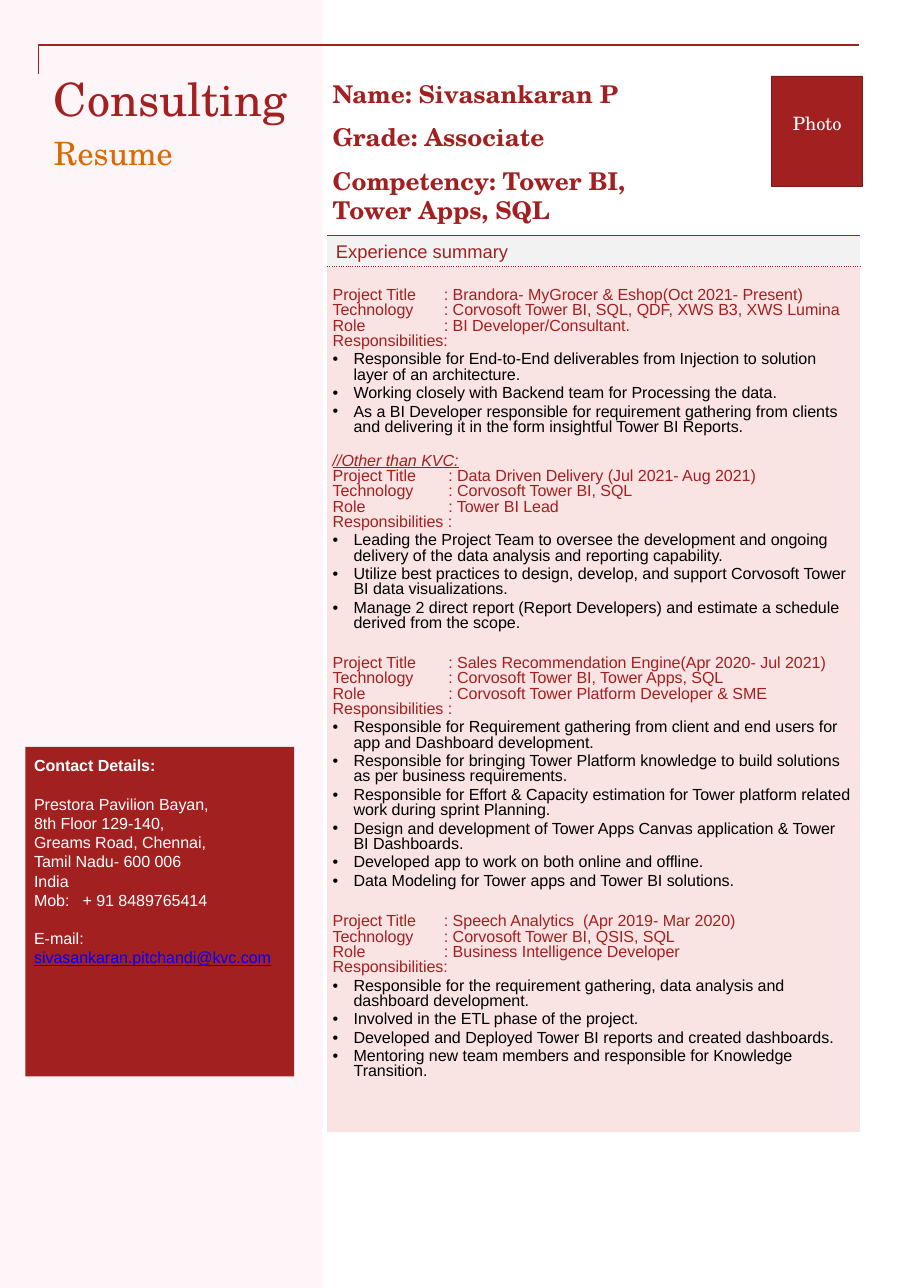
from dataclasses import dataclass
from lxml.etree import SubElement
from pptx import Presentation
from pptx.dml.color import RGBColor
from pptx.enum.shapes import MSO_SHAPE
from pptx.enum.text import MSO_ANCHOR, PP_ALIGN
from pptx.oxml import parse_xml
from pptx.oxml.ns import nsdecls, qn
from pptx.util import Inches, Pt


@dataclass(frozen=True)
class Theme:
    red: str = "A32020"
    dark_red: str = "791818"
    orange: str = "DC6900"
    blush: str = "FDF5F7"
    rose: str = "F9E3E3"
    grey: str = "F2F2F2"
    link: str = "0000FF"
    black: str = "000000"
    white: str = "FFFFFF"
    serif: str = "TeX Gyre Schola"
    sans: str = "Arial"
    title: float = 30
    subtitle: float = 21
    name: float = 16
    label: float = 12
    body: float = 10.5
    contact_line: float = 12.55
    project_line: float = 10
    project_gap: float = 2


@dataclass(frozen=True)
class Project:
    name: str
    technology: str
    role: str
    duties: tuple
    heading: str = "Responsibilities:"
    colon_at: float = 1.01
    note: str = ""


THEME = Theme()
NO_GRID_STYLE = "{2D5ABB26-0587-4C30-8999-92F81FD0307C}"

CURRENT = Project(
    "Brandora- MyGrocer & Eshop(Oct 2021- Present)",
    "Corvosoft Tower BI, SQL, QDF, XWS B3, XWS Lumina",
    "BI Developer/Consultant.",
    ("Responsible for End-to-End deliverables from Injection to solution layer of an architecture.",
     "Working closely with Backend team for Processing the data.",
     "As a BI Developer responsible for requirement gathering from clients and delivering it "
     "in the form insightful Tower BI Reports."))
DELIVERY = Project(
    "Data Driven Delivery (Jul 2021- Aug 2021)", "Corvosoft Tower BI, SQL", "Tower BI Lead",
    ("Leading the Project Team to oversee the development and ongoing delivery of the data "
     "analysis and reporting capability.",
     "Utilize best practices to design, develop, and support Corvosoft Tower BI data visualizations.",
     "Manage 2 direct report (Report Developers) and estimate a schedule derived from the scope."),
    "Responsibilities :", 1.05, "//Other than KVC:")
SALES = Project(
    "Sales Recommendation Engine(Apr 2020- Jul 2021)", "Corvosoft Tower BI, Tower Apps, SQL",
    "Corvosoft Tower Platform Developer & SME",
    ("Responsible for Requirement gathering from client and end users for app and Dashboard development.",
     "Responsible for bringing Tower Platform knowledge to build solutions as per business requirements.",
     "Responsible for Effort & Capacity estimation for Tower platform related work during sprint Planning.",
     "Design and development of Tower Apps Canvas application & Tower BI Dashboards.",
     "Developed app to work on both online and offline.",
     "Data Modeling for Tower apps and Tower BI solutions."),
    "Responsibilities :", 1.05)
SPEECH = Project(
    "Speech Analytics  (Apr 2019- Mar 2020)", "Corvosoft Tower BI, QSIS, SQL",
    "Business Intelligence Developer",
    ("Responsible for the requirement gathering, data analysis and dashboard development.",
     "Involved in the ETL phase of the project.",
     "Developed and Deployed Tower BI reports and created dashboards.",
     "Mentoring new team members and responsible for Knowledge Transition."))

# Top margin and projects of each experience row
EXPERIENCE = ((0.2, (CURRENT, DELIVERY)), (0.03, (SALES,)), (0.2, (SPEECH,)))
EXPERIENCE_HEIGHTS = (0.27, 3.51, 2.17, 2.17)
SIDEBAR_HEIGHTS = (0.24, 1.91, 0.29, 1.32, 0.29, 0.31)


def colour(code):
    return RGBColor.from_string(code)


def add_span(para, text, size, code, font=THEME.sans, bold=False, italic=False, underline=False):
    """Add styled text, with a line break between its lines."""
    for index, line in enumerate(text.split("\n")):
        if index:
            para.add_line_break()
        span = para.add_run()
        span.text = line
        span.font.name, span.font.size = font, Pt(size)
        span.font.bold, span.font.italic, span.font.underline = bold, italic, underline
        span.font.color.rgb = colour(code)


def next_para(frame):
    first = frame.paragraphs[0]
    return first if not first.runs else frame.add_paragraph()


def set_space(para, line=None, before=0, after=0):
    if line:
        para.line_spacing = Pt(line)
    para.space_before, para.space_after = Pt(before), Pt(after)


def set_tab(para, position):
    tabs = SubElement(para._p.get_or_add_pPr(), qn("a:tabLst"))
    SubElement(tabs, qn("a:tab"), pos=str(Inches(position)), algn="l")


def set_margins(target, left, top):
    target.margin_left = target.margin_right = Inches(left)
    target.margin_top = target.margin_bottom = Inches(top)


def prepare_frame(frame, margin=0):
    frame.word_wrap = True
    frame.vertical_anchor = MSO_ANCHOR.TOP
    set_margins(frame, margin, margin)
    return frame


def add_rectangle(page, left, top, width, height, fill, line=None):
    box = page.shapes.add_shape(MSO_SHAPE.RECTANGLE, *map(Inches, (left, top, width, height)))
    box.shadow.inherit = False
    box.fill.solid()
    box.fill.fore_color.rgb = colour(fill)
    if line:
        box.line.color.rgb, box.line.width = colour(line), Pt(0.25)
    else:
        box.line.fill.background()
    return box


def add_serif_box(page, left, top, width, height, lines, size, code, bold=False, align=PP_ALIGN.LEFT):
    box = page.shapes.add_textbox(*map(Inches, (left, top, width, height)))
    frame = prepare_frame(box.text_frame)
    for line in lines:
        para = next_para(frame)
        para.alignment = align
        set_space(para, after=9)
        add_span(para, line, size, code, THEME.serif, bold)


def add_corner_rule(page):
    builder = page.shapes.build_freeform(Inches(0.35), Inches(0.67))
    builder.add_line_segments([(Inches(0.35), Inches(0.41)), (Inches(7.8), Inches(0.41))], close=False)
    rule = builder.convert_to_shape()
    rule.shadow.inherit = False
    rule.fill.background()
    rule.line.color.rgb, rule.line.width = colour(THEME.red), Pt(1)


def place_title(page):
    title = page.shapes.title
    title.left, title.top, title.width, title.height = map(Inches, (0.49, 0.64, 7.62, 1.29))
    para = prepare_frame(title.text_frame).paragraphs[0]
    para.alignment = PP_ALIGN.LEFT
    add_span(para, "Consulting", THEME.title, THEME.red, THEME.serif)
    page.shapes._spTree.append(title._element)


def add_contact(page):
    frame = prepare_frame(add_rectangle(page, 0.23, 6.78, 2.44, 2.99, THEME.red).text_frame, 0.08)
    address = ("Prestora Pavilion Bayan,\n8th Floor 129-140,\nGreams Road, Chennai,\n"
               "Tamil Nadu- 600 006\nIndia")
    gap = THEME.contact_line
    for text, before in (("Contact Details:", 0), (address, gap),
                         ("Mob:\t+ 91 8489765414", 0), ("E-mail: ", gap)):
        para = next_para(frame)
        para.alignment = PP_ALIGN.LEFT
        set_space(para, THEME.contact_line, before)
        add_span(para, text, THEME.body, THEME.white, bold=text.startswith("Contact"))
        if "\t" in text:
            set_tab(para, 0.44)
    add_span(para, "sivasankaran.pitchandi@kvc.com", THEME.body, THEME.link, underline=True)


def add_project(frame, project):
    para = next_para(frame)
    set_space(para, THEME.project_line, THEME.project_line if project.note else 0, THEME.project_gap)
    set_tab(para, project.colon_at)
    if project.note:
        add_span(para, project.note, THEME.body, THEME.red, italic=True, underline=True)
        para.add_line_break()
    facts = (f"Project Title\t: {project.name}\nTechnology\t: {project.technology}\n"
             f"Role\t: {project.role}\n{project.heading}")
    add_span(para, facts, THEME.body, THEME.red)
    for duty in project.duties:
        para = frame.add_paragraph()
        set_space(para, THEME.project_line, 0, THEME.project_gap)
        props = para._p.get_or_add_pPr()
        props.set("marL", str(Inches(0.19)))
        props.set("indent", str(-Inches(0.19)))
        SubElement(props, qn("a:buFont"), typeface=THEME.sans)
        SubElement(props, qn("a:buChar"), char="•")
        add_span(para, duty, THEME.body, THEME.black)


def fill_cell(cell, code):
    cell.fill.solid()
    cell.fill.fore_color.rgb = colour(code)


def set_border(cell, side, width, dash, position):
    line = parse_xml(
        f'<a:{side} {nsdecls("a")} w="{Pt(width)}"><a:solidFill><a:srgbClr val="{THEME.red}"/>'
        f'</a:solidFill><a:prstDash val="{dash}"/></a:{side}>')
    cell._tc.get_or_add_tcPr().insert(position, line)


def add_plain_table(page, left, top, width, heights):
    """Add a one-column table without style, fill or grid."""
    area = map(Inches, (left, top, width, sum(heights)))
    table = page.shapes.add_table(len(heights), 1, *area).table
    table.first_row = table.horz_banding = False
    table._tbl.tblPr.find(qn("a:tableStyleId")).text = NO_GRID_STYLE
    for row, height in zip(table.rows, heights):
        row.height = Inches(height)
        set_margins(row.cells[0], 0, 0)
    return table


def add_experience(page):
    table = add_plain_table(page, 2.97, 2.14, 4.84, EXPERIENCE_HEIGHTS)
    header = table.cell(0, 0)
    header.vertical_anchor = MSO_ANCHOR.BOTTOM
    set_margins(header, 0.08, 0.04)
    add_span(header.text_frame.paragraphs[0], "Experience summary", THEME.label, THEME.red)
    fill_cell(header, THEME.grey)
    set_border(header, "lnT", 0.75, "solid", 0)
    set_border(header, "lnB", 1, "sysDot", 1)
    for row, (top, projects) in enumerate(EXPERIENCE, 1):
        cell = table.cell(row, 0)
        set_margins(cell, 0.05, 0.03)
        cell.margin_top = Inches(top)
        fill_cell(cell, THEME.rose)
        for project in projects:
            add_project(cell.text_frame, project)


def main():
    deck = Presentation()
    deck.slide_width, deck.slide_height = Inches(8.27), Inches(11.69)
    page = deck.slides.add_slide(deck.slide_layouts[5])
    add_rectangle(page, 0, 0, 2.93, 11.69, THEME.blush)
    add_corner_rule(page)
    place_title(page)
    add_serif_box(page, 0.49, 1.21, 7.62, 0.76, ["Resume"], THEME.subtitle, THEME.orange)
    add_contact(page)
    add_experience(page)
    add_plain_table(page, 0.47, 2.14, 2.36, SIDEBAR_HEIGHTS)
    add_rectangle(page, 7, 0.69, 0.83, 1, THEME.red, THEME.dark_red)
    add_serif_box(page, 7.06, 1.02, 0.72, 0.19, ["Photo"], THEME.label, THEME.white,
                  align=PP_ALIGN.CENTER)
    add_serif_box(page, 3.02, 0.72, 3.6, 1.35,
                  ["Name: Sivasankaran P", "Grade: Associate", "Competency: Tower BI,\nTower Apps, SQL"],
                  THEME.name, THEME.red, bold=True)
    deck.save("out.pptx")


if __name__ == "__main__":
    main()
